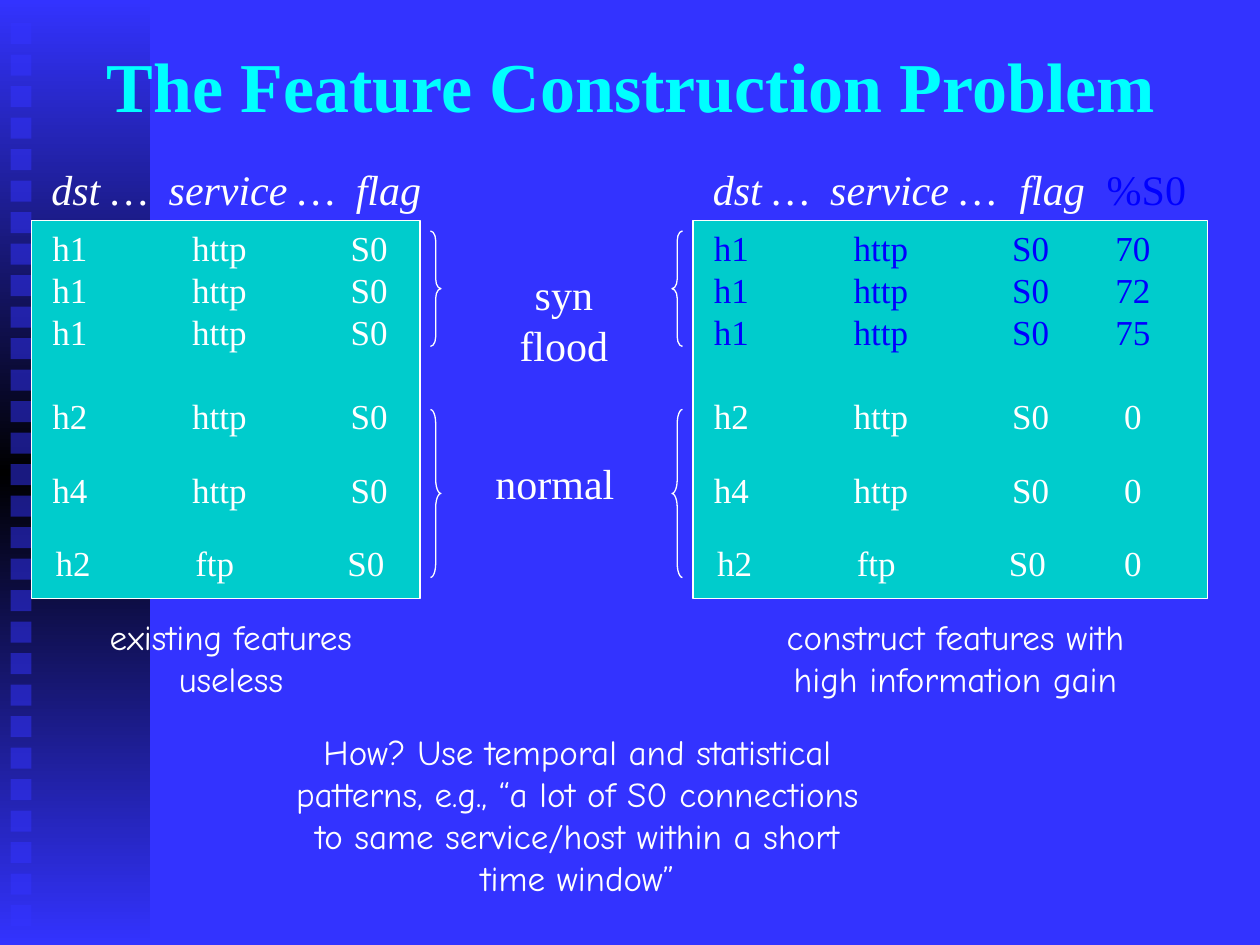
from copy import deepcopy

from lxml import etree
from pptx import Presentation
from pptx.dml.color import RGBColor
from pptx.enum.shapes import MSO_SHAPE
from pptx.enum.text import MSO_ANCHOR, PP_ALIGN
from pptx.oxml.ns import qn
from pptx.util import Pt

EMU_PER_PX = 7620
PAGE_WIDTH, PAGE_HEIGHT = 1200, 900

BLUE = RGBColor(0x33, 0x33, 0xFF)
BLACK = RGBColor(0x00, 0x00, 0x00)
WHITE = RGBColor(0xFF, 0xFF, 0xFF)
CYAN = RGBColor(0x00, 0xFF, 0xFF)
TEAL = RGBColor(0x00, 0xCC, 0xCC)
DEEP_BLUE = RGBColor(0x00, 0x00, 0xFF)

SERIF = "Times New Roman"
HAND = "Comic Neue"

RECTANGLE = MSO_SHAPE.RECTANGLE
LEFT_BRACE = MSO_SHAPE.LEFT_BRACE
RIGHT_BRACE = MSO_SHAPE.RIGHT_BRACE
LEFT, CENTER = PP_ALIGN.LEFT, PP_ALIGN.CENTER
TOP, MIDDLE = MSO_ANCHOR.TOP, MSO_ANCHOR.MIDDLE

RECORDS = [
    (210, ("h1", "http", "S0"), "70"),
    (250, ("h1", "http", "S0"), "72"),
    (290, ("h1", "http", "S0"), "75"),
    (370, ("h2", "http", "S0"), "0"),
    (440, ("h4", "http", "S0"), "0"),
    (510, ("h2", "ftp", "S0"), "0"),
]
FLOOD_COUNT = 3
BRACE_SPANS = [(220, 110), (390, 160)]


def px(length):
    return length * EMU_PER_PX


class SlideWriter:
    def __init__(self, page):
        self.page = page

    def shape(self, kind, left, top, width, height, fill=None, line=None):
        shape = self.page.shapes.add_shape(
            kind, px(left), px(top), px(width), px(height))
        shape.shadow.inherit = False
        if fill is None:
            shape.fill.background()
        else:
            shape.fill.solid()
            shape.fill.fore_color.rgb = fill
        if line is None:
            shape.line.fill.background()
        else:
            shape.line.color.rgb = line
            shape.line.width = Pt(0.75)
        return shape

    def gradient_band(self, width, colors):
        band = self.shape(RECTANGLE, 0, 0, width, PAGE_HEIGHT)
        band.fill.gradient()
        band.fill.gradient_angle = 90
        stop_list = band._element.spPr.find(".//" + qn("a:gsLst"))
        stop_list.append(deepcopy(stop_list[0]))
        for index, (stop, color) in enumerate(zip(band.fill.gradient_stops, colors)):
            stop.position = index / (len(colors) - 1)
            stop.color.rgb = color

    def faded_square(self, left, top, size):
        square = self.shape(RECTANGLE, left, top, size, size, BLUE)
        color = square._element.spPr.find(".//" + qn("a:srgbClr"))
        etree.SubElement(color, qn("a:alpha"), val="50000")

    def brace(self, kind, left, top, height):
        width = 10
        brace = self.shape(kind, left, top, width, height, line=WHITE)
        brace.adjustments[0] = height / 12 / width

    def text(self, left, top, width, height, text, size=20, font=SERIF, color=WHITE,
             bold=False, italic=False, align=CENTER, anchor=TOP, wrap=True,
             inset=12, tabs=()):
        box = self.page.shapes.add_textbox(px(left), px(top), px(width), px(height))
        frame = box.text_frame
        frame.word_wrap = wrap
        frame.vertical_anchor = anchor
        frame.margin_left = px(inset)
        frame.text = text
        para = frame.paragraphs[0]
        para.alignment = align
        if tabs:
            tab_list = etree.SubElement(para._p.get_or_add_pPr(), qn("a:tabLst"))
            for stop in tabs:
                etree.SubElement(tab_list, qn("a:tab"), pos=str(px(stop)), algn="l")
        span = para.runs[0]
        self.style(span, size, font, color, bold, italic)
        return para

    def style(self, span, size, font, color, bold=False, italic=False):
        span.font.size = Pt(size)
        span.font.name = font
        span.font.color.rgb = color
        span.font.bold = bold
        span.font.italic = italic

    def record_panel(self, left, width, flood_color):
        self.shape(RECTANGLE, left, 210, width, 360, TEAL, WHITE)
        self.text(left, 150, 130, 60, "dst …", 24, italic=True)
        self.text(left + 100, 150, 220, 60, "service …", 24, italic=True)
        for index, (top, cells, _) in enumerate(RECORDS):
            is_ftp = "ftp" in cells
            self.text(left, top, 360, 53, "\t".join(cells), align=LEFT,
                      color=flood_color if index < FLOOD_COUNT else WHITE,
                      inset=23 if is_ftp else 20,
                      tabs=(133, 278 if is_ftp else 284))


def main():
    deck = Presentation()
    deck.slide_width, deck.slide_height = px(PAGE_WIDTH), px(PAGE_HEIGHT)
    page = deck.slides.add_slide(deck.slide_layouts[6])
    page.background.fill.solid()
    page.background.fill.fore_color.rgb = BLUE
    writer = SlideWriter(page)

    writer.gradient_band(143, [BLUE, BLACK, BLUE])
    for index in range(29):
        writer.faded_square(10, 22 + 30 * index, 20)

    writer.text(90, 30, 1110, 100, "The Feature Construction Problem", 40,
                color=CYAN, bold=True, align=LEFT, anchor=MIDDLE)

    writer.record_panel(30, 370, WHITE)
    writer.text(310, 150, 120, 60, "flag", 24, italic=True)
    writer.record_panel(660, 490, DEEP_BLUE)
    heading = writer.text(940, 150, 220, 60, "flag\t", 24, italic=True,
                          align=LEFT, inset=31, tabs=(83,))
    rate_heading = heading.add_run()
    rate_heading.text = "%S0"
    writer.style(rate_heading, 24, SERIF, DEEP_BLUE)
    for index, (top, _, rate) in enumerate(RECORDS):
        writer.text(1050, top, 58, 53, rate, wrap=False,
                    color=DEEP_BLUE if index < FLOOD_COUNT else WHITE)

    for top, height in BRACE_SPANS:
        writer.brace(RIGHT_BRACE, 410, top, height)
        writer.brace(LEFT_BRACE, 640, top, height)
    writer.text(451, 250, 172, 60, "syn flood", 24)
    writer.text(460, 430, 137, 60, "normal", 24, wrap=False)

    writer.text(60, 580, 320, 92, "existing features useless", font=HAND)
    writer.text(710, 580, 400, 92, "construct features with high information gain",
                font=HAND)
    writer.text(260, 690, 580, 173,
                "How? Use temporal and statistical patterns, e.g., “a lot of S0 "
                "connections to same service/host within a short time window”",
                font=HAND)

    deck.save("out.pptx")


if __name__ == "__main__":
    main()
